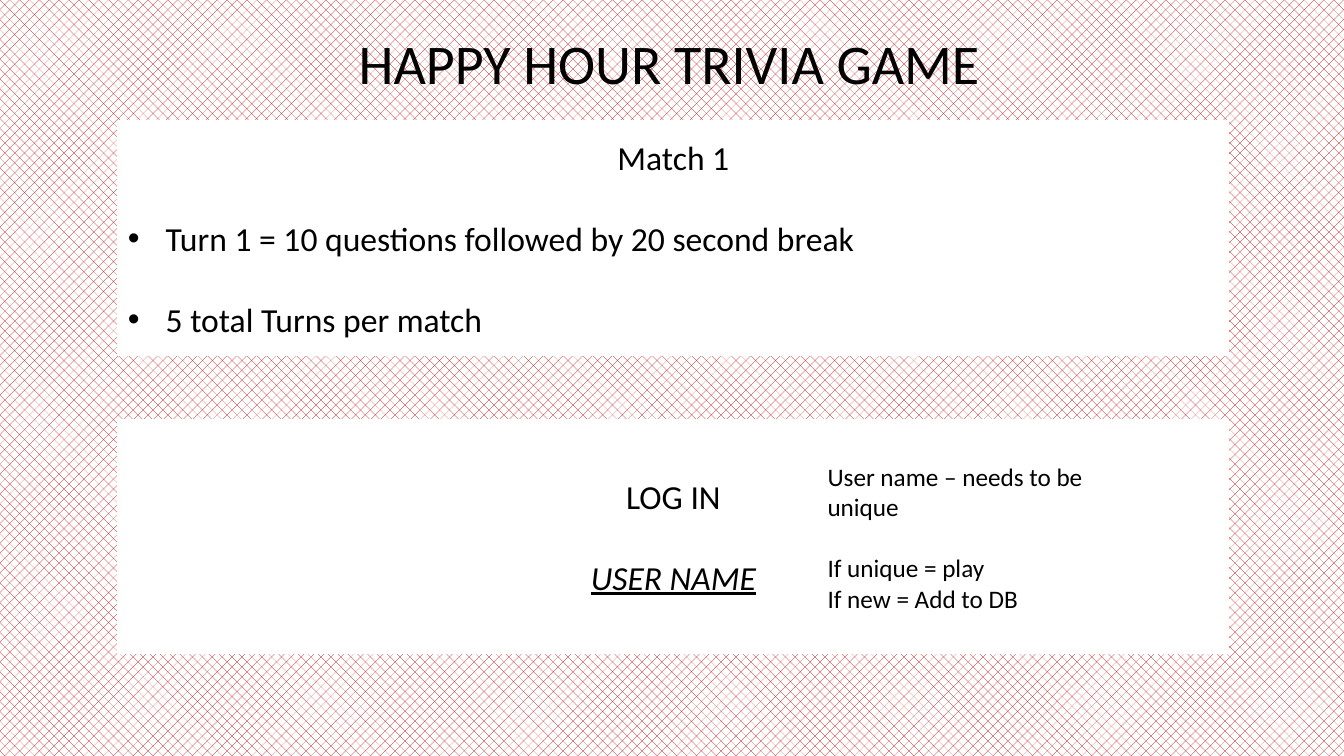
"""Build the trivia game slide with its match rules and log-in panels."""
from dataclasses import dataclass

from lxml import etree
from pptx import Presentation
from pptx.dml.color import RGBColor
from pptx.enum.dml import MSO_PATTERN
from pptx.enum.shapes import MSO_SHAPE
from pptx.enum.text import MSO_ANCHOR, MSO_AUTO_SIZE, PP_ALIGN
from pptx.oxml.ns import qn
from pptx.slide import Slide
from pptx.text.text import TextFrame
from pptx.util import Pt

CENTER, LEFT = PP_ALIGN.CENTER, PP_ALIGN.LEFT
TOP, MIDDLE = MSO_ANCHOR.TOP, MSO_ANCHOR.MIDDLE
NO_AUTOFIT = MSO_AUTO_SIZE.NONE
RECTANGLE = MSO_SHAPE.RECTANGLE
DOTS = MSO_PATTERN.PERCENT_30

FONT = "Calibri"
BLACK, WHITE, RED = "000000", "FFFFFF", "C00000"
LINE_HEIGHT = 1.22
BULLET_INDENT = 27
PANEL_LEFT, PANEL_WIDTH, PANEL_HEIGHT = 84.25, 793.5, 167


@dataclass
class Line:
    """One paragraph of text with its formatting."""
    text: str
    align: PP_ALIGN = LEFT
    bullet: bool = False
    gap: bool = False
    emphasis: bool = False


@dataclass
class Panel:
    """A white panel at a given height on the page."""
    top: float
    lines: list[Line]


PANELS = [
    Panel(86.5, [
        Line("Match 1", CENTER),
        Line("Turn 1 = 10 questions followed by 20 second break", bullet=True, gap=True),
        Line("5 total Turns per match", bullet=True, gap=True),
    ]),
    Panel(299.5, [
        Line("LOG IN", CENTER),
        Line("USER NAME", CENTER, gap=True, emphasis=True),
    ]),
]
USER_RULES = [
    Line("User name – needs to be unique"),
    Line("If unique = play", gap=True),
    Line("If new = Add to DB"),
]


def color(value: str) -> RGBColor:
    """Turn a hex string into a colour."""
    return RGBColor.from_string(value)


def add_bullet(para) -> None:
    """Give a paragraph a round bullet with a hanging indent."""
    properties = para._p.get_or_add_pPr()
    properties.set("marL", str(Pt(BULLET_INDENT)))
    properties.set("indent", str(-Pt(BULLET_INDENT)))
    etree.SubElement(properties, qn("a:buFont")).set("typeface", "Arial")
    etree.SubElement(properties, qn("a:buChar")).set("char", "•")


def write_lines(frame: TextFrame, lines: list[Line], size: float, anchor: MSO_ANCHOR) -> None:
    """Fill a text frame with formatted lines."""
    frame.word_wrap = True
    frame.auto_size = NO_AUTOFIT
    frame.vertical_anchor = anchor
    frame.text = "\n".join(line.text for line in lines)
    for para, line in zip(frame.paragraphs, lines):
        para.alignment = line.align
        if line.gap:
            para.space_before = Pt(round(size * LINE_HEIGHT, 1))
        if line.bullet:
            add_bullet(para)
        for span in para.runs:
            span.font.name = FONT
            span.font.size = Pt(size)
            span.font.color.rgb = color(BLACK)
            if line.emphasis:
                span.font.italic = True
                span.font.underline = True


def paint_background(page: Slide) -> None:
    """Cover the page with a red dotted pattern."""
    fill = page.background.fill
    fill.patterned()
    fill.pattern = DOTS
    fill.fore_color.rgb = color(RED)
    fill.back_color.rgb = color(WHITE)


def add_title(page: Slide) -> None:
    """Place and format the page title."""
    title = page.shapes.title
    title.left, title.top, title.width, title.height = Pt(81.5), Pt(16.5), Pt(793), Pt(55.5)
    write_lines(title.text_frame, [Line("HAPPY HOUR TRIVIA GAME", CENTER)], 40, TOP)


def add_panel(page: Slide, panel: Panel) -> None:
    """Draw a white panel with its text."""
    box = page.shapes.add_shape(
        RECTANGLE, Pt(PANEL_LEFT), Pt(panel.top), Pt(PANEL_WIDTH), Pt(PANEL_HEIGHT))
    box.shadow.inherit = False
    box.fill.solid()
    box.fill.fore_color.rgb = color(WHITE)
    box.line.color.rgb = color(WHITE)
    box.line.width = Pt(1)
    write_lines(box.text_frame, panel.lines, 24, MIDDLE)


def add_user_rules(page: Slide) -> None:
    """Add the user name rules beside the log-in text."""
    box = page.shapes.add_textbox(Pt(584), Pt(326), Pt(250.5), Pt(116.5))
    write_lines(box.text_frame, USER_RULES, 18, TOP)


def main() -> None:
    """Build and save the deck."""
    deck = Presentation()
    deck.slide_width, deck.slide_height = Pt(960), Pt(540)
    page = deck.slides.add_slide(deck.slide_layouts.get_by_name("Title Only"))
    paint_background(page)
    add_title(page)
    for panel in PANELS:
        add_panel(page, panel)
    add_user_rules(page)
    deck.save("out.pptx")


main()
